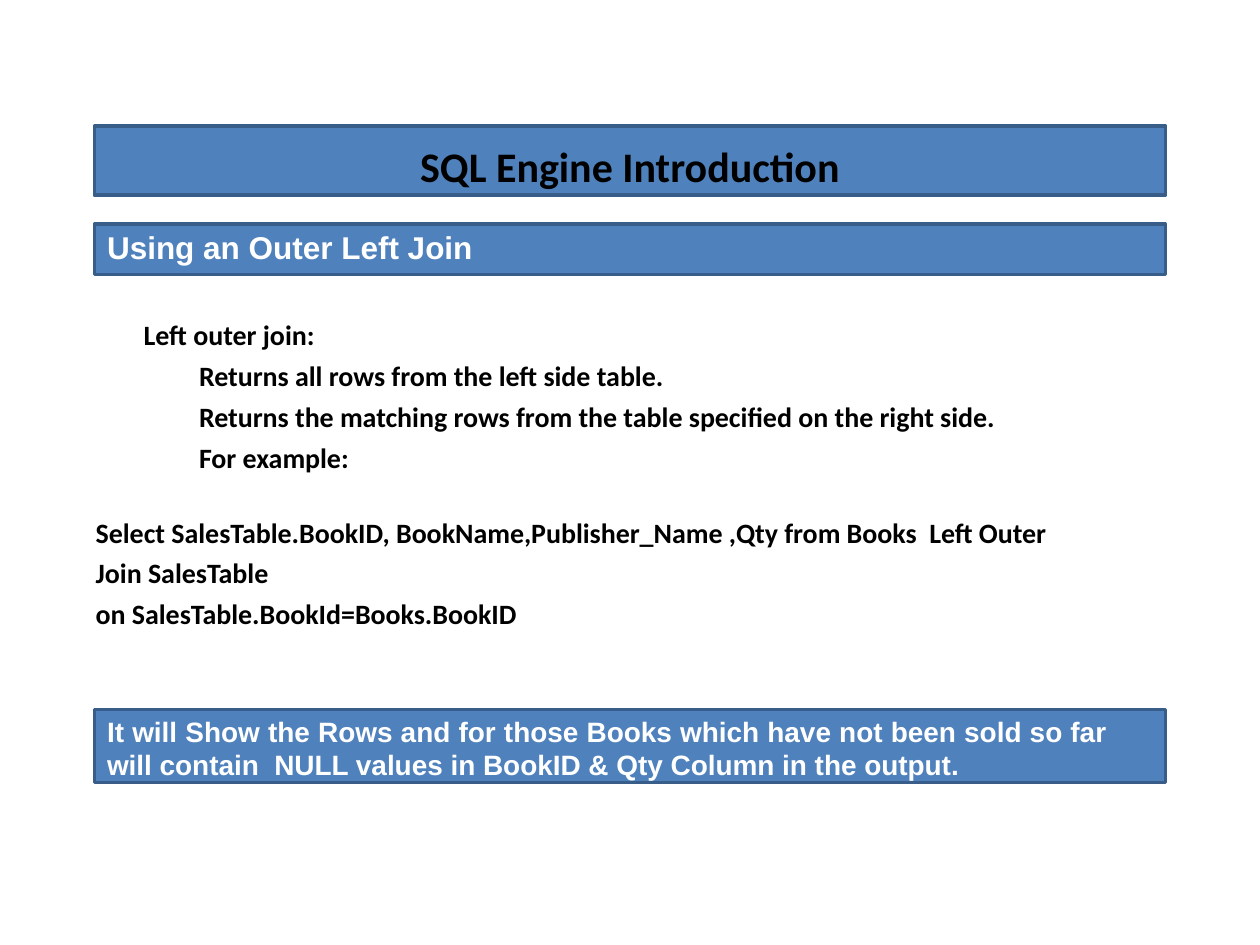
import pptx
import pptx.dml.color
import pptx.enum.shapes
import pptx.enum.text
import pptx.util

COLORS = {"banner": "4F81BC", "border": "385D89", "dark": "000000", "light": "FFFFFF"}
ALIGN = pptx.enum.text.PP_ALIGN
ANCHOR = pptx.enum.text.MSO_ANCHOR
WIDTH, HEIGHT = 10, 7.5
ROWS = 750  # grid rows down the slide, 0.01 inch each
LEFT, SPAN = 0.075, 0.85  # shared column, as shares of the width


def rgb(name):
    return pptx.dml.color.RGBColor.from_string(COLORS[name])


class SlideBuilder:
    def __init__(self, prs):
        self.prs = prs
        self.slide = prs.slides.add_slide(prs.slide_layouts[6])

    def place(self, row, rows):
        w, h = self.prs.slide_width, self.prs.slide_height
        return [int(v) for v in (LEFT * w, row / ROWS * h, SPAN * w, rows / ROWS * h)]

    def frame(self, sp, inset, anchor=ANCHOR.TOP):
        tf = sp.text_frame
        tf.word_wrap = True
        tf.vertical_anchor = anchor
        tf.margin_left = tf.margin_right = tf.margin_bottom = 0
        tf.margin_top = pptx.util.Inches(inset)
        return tf

    def add_text(self, p, text, size, font, color, align=ALIGN.LEFT,
                 indent=0, right=0, before=0, spacing=1.0):
        pPr = p._p.get_or_add_pPr()
        pPr.set("marL", str(pptx.util.Inches(indent)))
        pPr.set("marR", str(pptx.util.Inches(right)))
        pPr.set("indent", "0")
        p.alignment = align
        p.line_spacing = spacing
        if before:
            p.space_before = pptx.util.Pt(before)
        r = p.add_run()
        r.text = text
        r.font.size = pptx.util.Pt(size)
        r.font.name = font
        r.font.bold = True
        r.font.color.rgb = rgb(color)

    def banner(self, row, rows, text, size, font="Arial", color="light",
               inset=0.0, anchor=ANCHOR.TOP, **style):
        sp = self.slide.shapes.add_shape(
            pptx.enum.shapes.MSO_SHAPE.RECTANGLE, *self.place(row, rows))
        sp.shadow.inherit = False
        sp.fill.solid()
        sp.fill.fore_color.rgb = rgb("banner")
        sp.line.color.rgb = rgb("border")
        sp.line.width = pptx.util.Pt(2)
        tf = self.frame(sp, inset, anchor)
        self.add_text(tf.paragraphs[0], text, size, font, color, **style)

    def body(self, row, rows, paragraphs):
        sp = self.slide.shapes.add_textbox(*self.place(row, rows))
        tf = self.frame(sp, 0.08)
        for i, (text, style) in enumerate(paragraphs):
            p = tf.add_paragraph() if i else tf.paragraphs[0]
            self.add_text(p, text, 16, "Calibri", "dark", **style)


def main():
    prs = pptx.Presentation()
    prs.slide_width = pptx.util.Inches(WIDTH)
    prs.slide_height = pptx.util.Inches(HEIGHT)
    page = SlideBuilder(prs)

    # Title and topic
    page.banner(100, 55, "SQL Engine Introduction", 24, "Calibri", "dark",
                anchor=ANCHOR.MIDDLE, align=ALIGN.CENTER, spacing=1.22)
    page.banner(178, 40, "Using an Outer Left Join", 18, inset=0.03, indent=0.1)

    # Explanation and query
    point = {"indent": 0.83, "before": 4.3}
    page.body(244, 257, [
        ("Left outer join:", {"indent": 0.39}),
        ("Returns all rows from the left side table.", point),
        ("Returns the matching rows from the table specified on the right side.", point),
        ("For example:", point),
        ("Select SalesTable.BookID, BookName,Publisher_Name ,Qty from Books  "
         "Left Outer Join SalesTable",
         {"indent": 0.01, "right": 0.75, "before": 19.5, "spacing": 1.2}),
        ("on SalesTable.BookId=Books.BookID", {"indent": 0.01, "before": 4.3}),
    ])

    # Result note
    page.banner(563, 58, "It will Show the Rows and for those Books which have not been "
                "sold so far will contain  NULL values in BookID & Qty Column in the output.",
                16, inset=0.04, align=ALIGN.JUSTIFY, indent=0.1, right=0.46)

    prs.save("out.pptx")


if __name__ == "__main__":
    main()
